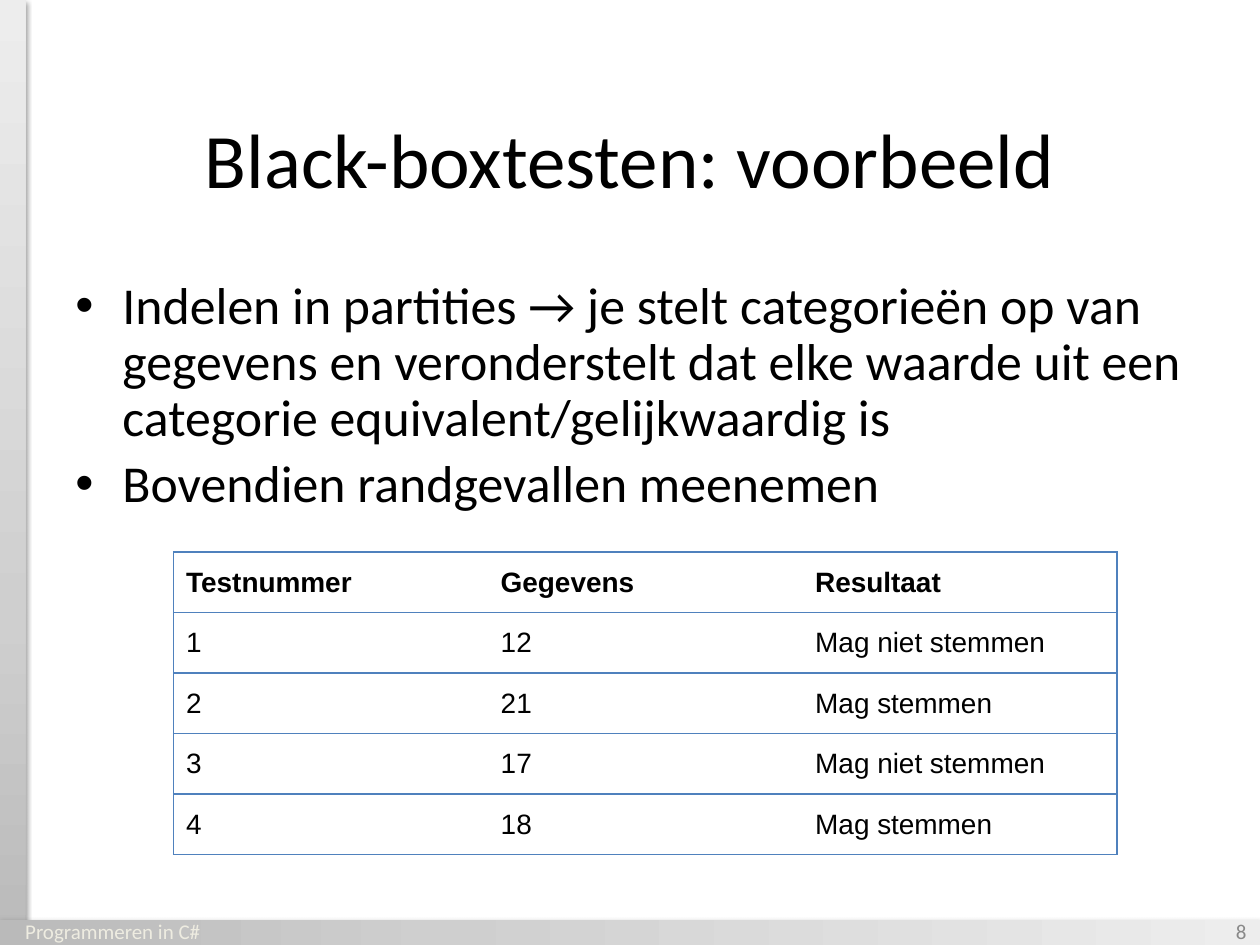
from dataclasses import dataclass

from lxml import etree
from pptx import Presentation
from pptx.dml.color import RGBColor
from pptx.enum.shapes import MSO_SHAPE
from pptx.enum.text import MSO_ANCHOR, PP_ALIGN
from pptx.oxml.ns import qn
from pptx.util import Cm, Pt

BLACK = RGBColor(0x00, 0x00, 0x00)
WHITE = RGBColor(0xFF, 0xFF, 0xFF)
BORDER_BLUE = RGBColor(0x4F, 0x81, 0xBD)
FOOTER_CREAM = RGBColor(0xEE, 0xEC, 0xE1)
NUMBER_GREY = RGBColor(0x88, 0x88, 0x88)
BAR_STOPS = (
    (0, RGBColor(0xBA, 0xBA, 0xBA)),
    (35, RGBColor(0xCF, 0xCF, 0xCF)),
    (100, RGBColor(0xED, 0xED, 0xED)),
)

RECTANGLE = MSO_SHAPE.RECTANGLE
TOP, MIDDLE = MSO_ANCHOR.TOP, MSO_ANCHOR.MIDDLE
LEFT, CENTER, RIGHT = PP_ALIGN.LEFT, PP_ALIGN.CENTER, PP_ALIGN.RIGHT

HEADING_FONT = "Calibri"
TABLE_FONT = "Arial"
TABLE_LEFT, TABLE_TOP = 3.5, 11.13
COLUMN_WIDTH, ROW_HEIGHT = 6.34, 1.22


@dataclass
class Bar:
    left: float
    top: float
    width: float
    height: float
    rotation: int = 0


@dataclass
class Caption:
    paragraphs: tuple[str, ...]
    left: float
    top: float
    width: float
    height: float
    size: float
    color: RGBColor = BLACK
    align: PP_ALIGN = LEFT
    anchor: MSO_ANCHOR = MIDDLE
    bulleted: bool = False


BARS = (
    Bar(0, 0, 0.52, 19.05),
    Bar(12.44, 6.1, 0.52, 25.4, 90),
)

CAPTIONS = (
    Caption(("Black-boxtesten: voorbeeld",), 1.27, 1.27, 22.86, 3.81, 44, align=CENTER),
    Caption(
        (
            "Indelen in partities → je stelt categorieën op van gegevens en "
            "veronderstelt dat elke waarde uit een categorie equivalent/gelijkwaardig is",
            "Bovendien randgevallen meenemen",
        ),
        1.27, 5.51, 22.86, 5.18, 29.6, anchor=TOP, bulleted=True,
    ),
    Caption(("Programmeren in C#",), -1.75, 18.26, 8.05, 1.02, 12, FOOTER_CREAM, CENTER),
    Caption(("8",), 19.46, 18.26, 5.92, 1.02, 12, NUMBER_GREY, RIGHT),
)

TEST_CASES = (
    ("Testnummer", "Gegevens", "Resultaat"),
    ("1", "12", "Mag niet stemmen"),
    ("2", "21", "Mag stemmen"),
    ("3", "17", "Mag niet stemmen"),
    ("4", "18", "Mag stemmen"),
)


def add_node(parent, tag: str, **attributes: str):
    return etree.SubElement(parent, qn(tag), attributes)


def draw_bar(slide, bar: Bar) -> None:
    shape = slide.shapes.add_shape(
        RECTANGLE, Cm(bar.left), Cm(bar.top), Cm(bar.width), Cm(bar.height)
    )
    shape.rotation = bar.rotation
    shape.line.fill.background()
    shape.fill.gradient()
    shape.fill.gradient_angle = 90
    stops = shape.element.spPr.find(qn("a:gradFill")).find(qn("a:gsLst"))
    for old_stop in list(stops):
        stops.remove(old_stop)
    for position, color in BAR_STOPS:
        stop = add_node(stops, "a:gs", pos=str(position * 1000))
        add_node(stop, "a:srgbClr", val=str(color))
    shape.shadow.inherit = False
    effects = shape.element.spPr.find(qn("a:effectLst"))
    shadow = add_node(
        effects, "a:outerShdw", blurRad=str(Pt(3.1)), dist=str(Pt(1.6)),
        dir="5400000", rotWithShape="0",
    )
    shadow_color = add_node(shadow, "a:srgbClr", val=str(BLACK))
    add_node(shadow_color, "a:alpha", val="38000")


def add_bullet(paragraph) -> None:
    properties = paragraph._p.get_or_add_pPr()
    properties.set("marL", str(Cm(0.95)))
    properties.set("indent", str(Cm(-0.95)))
    bullet_color = add_node(properties, "a:buClr")
    add_node(bullet_color, "a:srgbClr", val=str(BLACK))
    add_node(properties, "a:buFont", typeface="Arial")
    add_node(properties, "a:buChar", char="•")


def style_font(paragraph, name: str, size: float, color: RGBColor, bold: bool = False) -> None:
    font = paragraph.font
    font.name = name
    font.size = Pt(size)
    font.bold = bold
    font.color.rgb = color


def draw_caption(slide, caption: Caption) -> None:
    frame = slide.shapes.add_textbox(
        Cm(caption.left), Cm(caption.top), Cm(caption.width), Cm(caption.height)
    ).text_frame
    frame.word_wrap = True
    frame.vertical_anchor = caption.anchor
    for index, wording in enumerate(caption.paragraphs):
        paragraph = frame.add_paragraph() if index else frame.paragraphs[0]
        paragraph.text = wording
        paragraph.alignment = caption.align
        if caption.bulleted:
            add_bullet(paragraph)
            paragraph.line_spacing = 0.9
        if index:
            paragraph.space_before = Pt(5.9)
        style_font(paragraph, HEADING_FONT, caption.size, caption.color)


def add_border(cell, side: str, visible: bool) -> None:
    line = add_node(cell._tc.get_or_add_tcPr(), f"a:ln{side}", w=str(Pt(1)))
    if visible:
        fill = add_node(line, "a:solidFill")
        add_node(fill, "a:srgbClr", val=str(BORDER_BLUE))
    else:
        add_node(line, "a:noFill")


def draw_test_table(slide, rows: tuple[tuple[str, ...], ...]) -> None:
    column_count = len(rows[0])
    table = slide.shapes.add_table(
        len(rows), column_count, Cm(TABLE_LEFT), Cm(TABLE_TOP),
        Cm(COLUMN_WIDTH * column_count), Cm(ROW_HEIGHT * len(rows)),
    ).table
    table.horz_banding = False
    for column in table.columns:
        column.width = Cm(COLUMN_WIDTH)
    for row_index, row in enumerate(rows):
        table.rows[row_index].height = Cm(ROW_HEIGHT)
        for column_index, wording in enumerate(row):
            cell = table.cell(row_index, column_index)
            add_border(cell, "L", column_index == 0)
            add_border(cell, "R", column_index == column_count - 1)
            add_border(cell, "T", True)
            add_border(cell, "B", True)
            cell.fill.solid()
            cell.fill.fore_color.rgb = WHITE
            cell.vertical_anchor = MIDDLE
            cell.text = wording
            style_font(cell.text_frame.paragraphs[0], TABLE_FONT, 16, BLACK, row_index == 0)


def main() -> None:
    presentation = Presentation()
    presentation.slide_width = Cm(25.4)
    presentation.slide_height = Cm(19.05)
    slide = presentation.slides.add_slide(presentation.slide_layouts[6])
    for bar in BARS:
        draw_bar(slide, bar)
    for caption in CAPTIONS:
        draw_caption(slide, caption)
    draw_test_table(slide, TEST_CASES)
    presentation.save("out.pptx")


if __name__ == "__main__":
    main()
